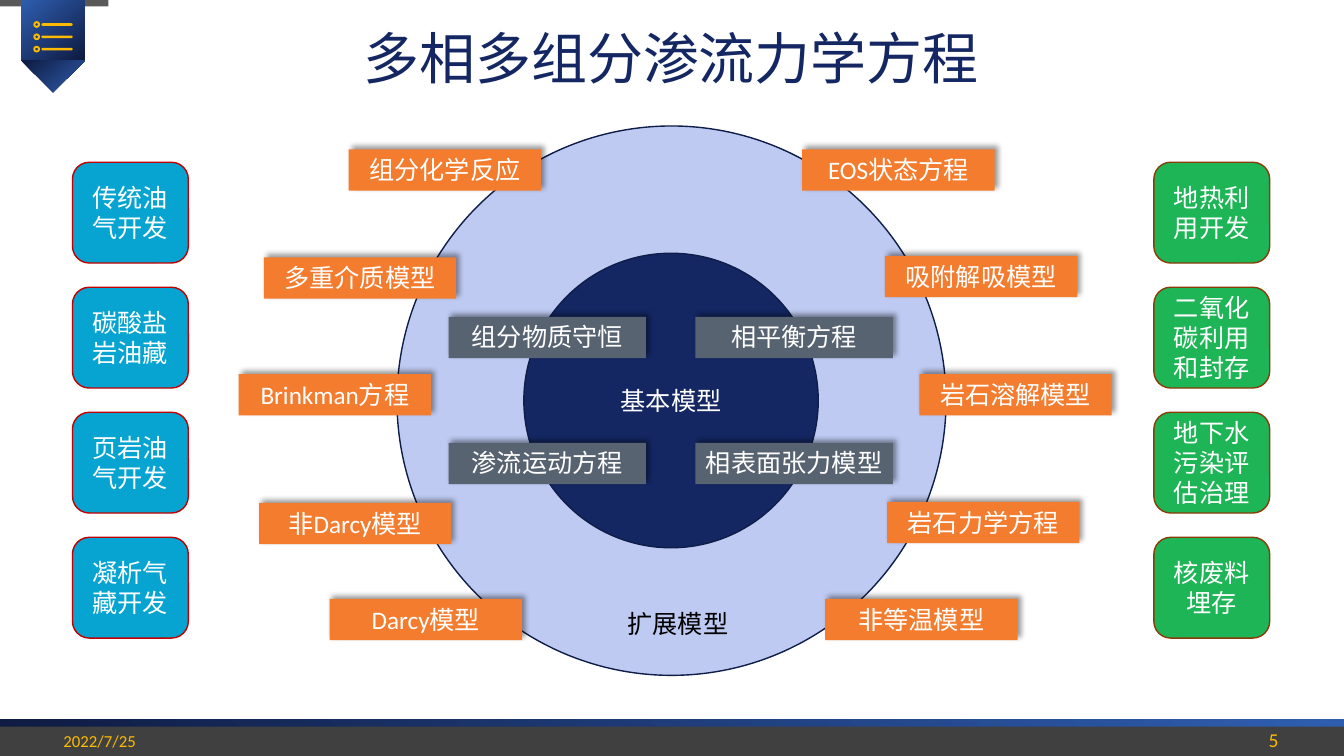
"""Build the slide on multiphase, multicomponent flow equations."""
from lxml.etree import SubElement
from pptx import Presentation
from pptx.dml.color import RGBColor
from pptx.enum.lang import MSO_LANGUAGE_ID
from pptx.enum.shapes import MSO_SHAPE
from pptx.enum.text import MSO_ANCHOR, MSO_AUTO_SIZE, PP_ALIGN
from pptx.oxml.ns import qn
from pptx.util import Pt


def color(value):
    return RGBColor.from_string(value)


class SlideBuilder:
    font = "Calibri"
    white, black = "FFFFFF", "000000"
    navy, navy_line, pale = "142763", "0F1D49", "BECAF2"
    dark, bright, gold = "0E1A40", "2F5EB0", "FCBB00"
    orange, slate = "F47C2E", "586371"
    label_height = 29.5

    def __init__(self, slide):
        self.slide = slide

    def shape(self, kind, left, top, width, height, fill=None, line=None):
        shape = self.slide.shapes.add_shape(
            kind, Pt(left), Pt(top), Pt(width), Pt(height))
        shape.shadow.inherit = False
        if fill:
            shape.fill.solid()
            shape.fill.fore_color.rgb = color(fill)
        if line:
            shape.line.color.rgb = color(line)
            shape.line.width = Pt(1)
        else:
            shape.line.fill.background()
        return shape

    def gradient(self, kind, left, top, width, height, angle):
        shape = self.shape(kind, left, top, width, height)
        shape.fill.gradient()
        shape.fill.gradient_angle = angle
        for stop, value in zip(shape.fill.gradient_stops, (self.dark, self.bright)):
            stop.color.rgb = color(value)
        return shape

    def add_text(self, shape, text, size=18, value=white, align=PP_ALIGN.CENTER,
                 anchor=MSO_ANCHOR.MIDDLE, wrap=True, grow=False):
        frame = shape.text_frame
        frame.word_wrap = wrap
        frame.vertical_anchor = anchor
        if grow:
            frame.auto_size = MSO_AUTO_SIZE.SHAPE_TO_FIT_TEXT
        paragraph = frame.paragraphs[0]
        paragraph.alignment = align
        run = paragraph.add_run()
        run.text = text
        run.font.name = self.font
        run.font.size = Pt(size)
        run.font.color.rgb = color(value)
        run.font.language_id = MSO_LANGUAGE_ID.SIMPLIFIED_CHINESE

    def text_box(self, text, left, top, width, height, **style):
        box = self.slide.shapes.add_textbox(
            Pt(left), Pt(top), Pt(width), Pt(height))
        self.add_text(box, text, **style)

    def label(self, text, left, top, width, fill):
        shape = self.shape(
            MSO_SHAPE.RECTANGLE, left, top, width, self.label_height, fill)
        effects = shape.element.spPr.find(qn("a:effectLst"))
        shadow = SubElement(
            effects, qn("a:outerShdw"), blurRad=str(Pt(4)), dist=str(Pt(3)),
            dir=str(315 * 60000), algn="bl", rotWithShape="0")
        shade = SubElement(shadow, qn("a:srgbClr"), val=self.black)
        SubElement(shade, qn("a:alpha"), val="40000")
        self.add_text(shape, text, anchor=MSO_ANCHOR.TOP, grow=True)

    def circle(self, left, top, diameter, fill):
        return self.shape(
            MSO_SHAPE.OVAL, left, top, diameter, diameter, fill, self.navy_line)

    def application(self, text, left, top, fill, line):
        shape = self.shape(
            MSO_SHAPE.ROUNDED_RECTANGLE, left, top, 82.8, 72, fill, line)
        self.add_text(shape, text)

    def list_icon(self, left, top, row_gap):
        for row in range(3):
            y = top + row * row_gap
            ring = self.shape(MSO_SHAPE.DONUT, left, y, 4.8, 4.8, self.gold)
            ring.adjustments[0] = 0.3
            bar = self.shape(MSO_SHAPE.ROUNDED_RECTANGLE,
                             left + 5.8, y + 1.5, 22.3, 1.8, self.gold)
            bar.adjustments[0] = 0.5


EXTENSIONS = [
    ("组分化学反应", 249.2, 106.7), ("EOS状态方程", 573.3, 106.7),
    ("多重介质模型", 188.5, 183.8), ("吸附解吸模型", 632.4, 182.8),
    ("Brinkman方程", 170.6, 267.2), ("岩石溶解模型", 657, 267.2),
    ("非Darcy模型", 185.1, 359.2), ("岩石力学方程", 633.9, 358.5),
    ("Darcy模型", 235.6, 427.8), ("非等温模型", 589.7, 427.8),
]
BASICS = [("组分物质守恒", "相平衡方程"), ("渗流运动方程", "相表面张力模型")]
APPLICATIONS = [
    (51.8, "07A4D1", "C00000",
     ["传统油气开发", "碳酸盐岩油藏", "页岩油气开发", "凝析气藏开发"]),
    (824.6, "1DB556", "8A3B07",
     ["地热利用开发", "二氧化碳利用和封存", "地下水污染评估治理", "核废料埋存"]),
]


def main():
    presentation = Presentation()
    presentation.slide_width, presentation.slide_height = Pt(960.48), Pt(540)
    slide = presentation.slides.add_slide(presentation.slide_layouts[6])
    builder = SlideBuilder(slide)

    builder.gradient(MSO_SHAPE.RECTANGLE, 0, 513.8, 960.48, 26.2, 50)
    builder.shape(MSO_SHAPE.RECTANGLE, 0, 519, 960.48, 21, "404040")
    builder.shape(MSO_SHAPE.RECTANGLE, 0, 0, 77.5, 4.5, "595959")
    builder.gradient(MSO_SHAPE.RECTANGLE, 15.1, 0, 45.6, 43.2, 130)
    tip = builder.gradient(
        MSO_SHAPE.ISOSCELES_TRIANGLE, 15.1, 43.2, 45.6, 22.6, 130)
    tip.rotation = 180
    builder.list_icon(23.8, 15.1, 8.8)

    builder.text_box("多相多组分渗流力学方程", 38.2, 13, 882.7, 55.4, size=40,
                     value=builder.navy, anchor=MSO_ANCHOR.TOP, grow=True)
    builder.text_box("2022/7/25", 38.2, 511.2, 216, 28.8, size=12,
                     value=builder.gold, align=PP_ALIGN.LEFT,
                     anchor=MSO_ANCHOR.BOTTOM)
    builder.text_box("5", 704.9, 511.2, 216, 28.8, size=14,
                     value=builder.gold, align=PP_ALIGN.RIGHT,
                     anchor=MSO_ANCHOR.BOTTOM)

    builder.circle(283.7, 90, 392.4, builder.pale)
    core = builder.circle(374.4, 180.9, 210.4, builder.navy)
    builder.add_text(core, "基本模型")
    for text, left, top in EXTENSIONS:
        builder.label(text, left, top, 137.5, builder.orange)
    for row, texts in enumerate(BASICS):
        for column, text in enumerate(texts):
            builder.label(text, 320.6 + 176.4 * column, 226.3 + 90 * row,
                          141.1, builder.slate)
    builder.text_box("扩展模型", 441.4, 431.3, 87.1, 28.8, value=builder.black,
                     align=PP_ALIGN.LEFT, anchor=MSO_ANCHOR.TOP,
                     wrap=False, grow=True)
    for left, fill, line, texts in APPLICATIONS:
        for row, text in enumerate(texts):
            builder.application(text, left, 115.9 + 89.3 * row, fill, line)

    presentation.save("out.pptx")


if __name__ == "__main__":
    main()
